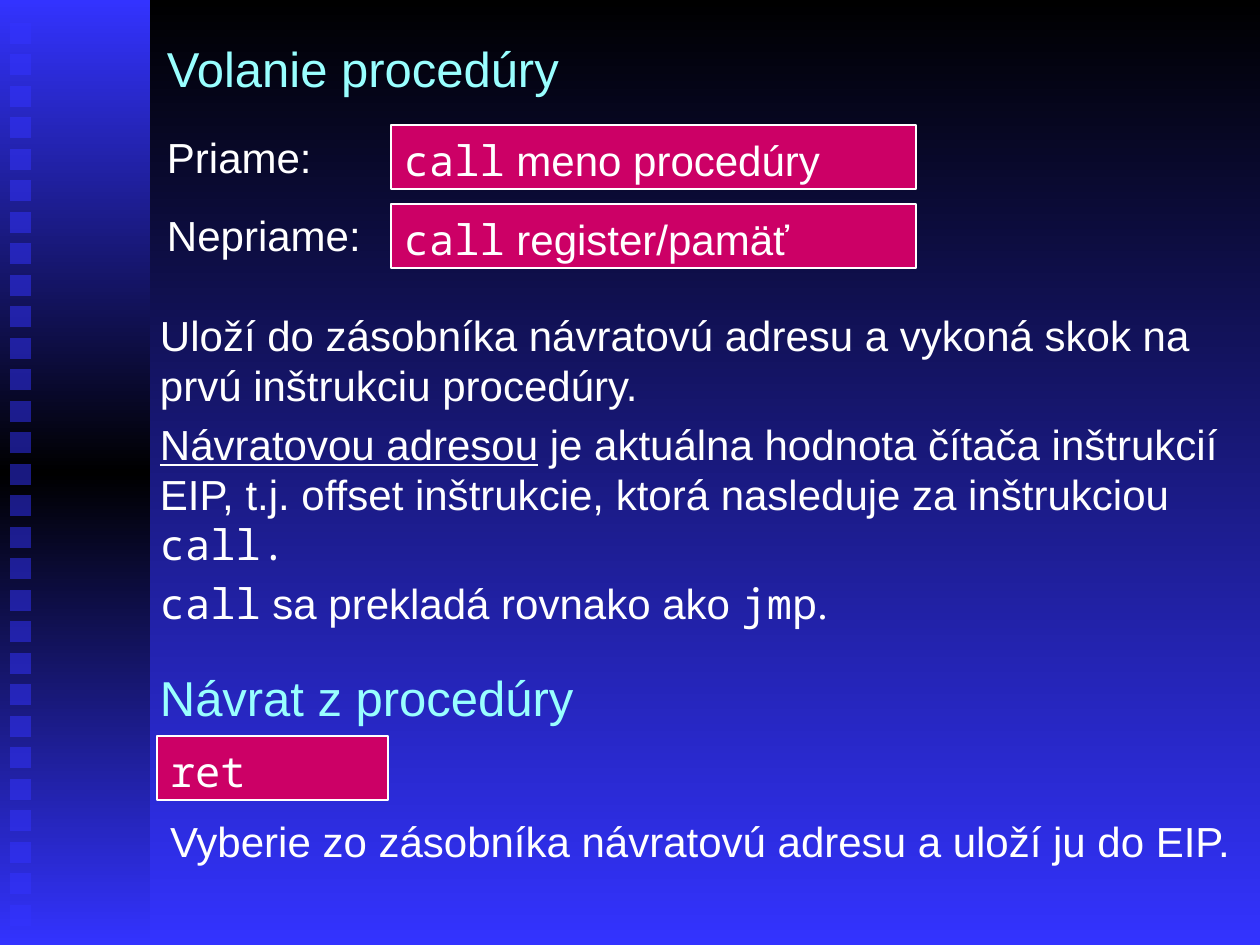
import copy
import pptx
import pptx.dml.color
import pptx.enum.shapes
import pptx.enum.text
import pptx.oxml.ns
import pptx.util

PX = 914400 / 126
ARIAL, MONO, TIMES = "Arial", "Noto Sans Mono", "Times New Roman"
WHITE, CYAN, BLUE, BLACK, MAGENTA = "FFFFFF", "99FFFF", "3333FF", "000000", "CC0066"
RECTANGLE = pptx.enum.shapes.MSO_SHAPE.RECTANGLE
TOP = pptx.enum.text.MSO_ANCHOR.TOP
MIDDLE = pptx.enum.text.MSO_ANCHOR.MIDDLE


def color(hex_code):
    return pptx.dml.color.RGBColor.from_string(hex_code)


def write(shape, paragraphs, size=24, ink=WHITE, anchor=TOP, inset_top=6):
    frame = shape.text_frame
    frame.word_wrap = True
    frame.vertical_anchor = anchor
    frame.margin_left = frame.margin_right = round(13 * PX)
    frame.margin_top = round(inset_top * PX)
    frame.margin_bottom = round(6 * PX)
    for index, pieces in enumerate(paragraphs):
        paragraph = frame.add_paragraph() if index else frame.paragraphs[0]
        paragraph.alignment = pptx.enum.text.PP_ALIGN.LEFT
        if index:
            paragraph.space_before = pptx.util.Pt(5)
        if size == 24:
            paragraph.line_spacing = pptx.util.Pt(28.6)
        for words, face in pieces:
            run = paragraph.add_run()
            run.text = words
            run.font.name = face
            run.font.size = pptx.util.Pt(size)
            run.font.color.rgb = color(ink)


deck = pptx.Presentation()
deck.slide_width, deck.slide_height = round(1260 * PX), round(945 * PX)
slide = deck.slides.add_slide(deck.slide_layouts[6])

sidebar = slide.shapes.add_shape(RECTANGLE, 0, 0, round(150 * PX), round(945 * PX))
sidebar.shadow.inherit = False
sidebar.line.fill.background()

gradients = [(slide.background.fill, [BLACK, BLUE]), (sidebar.fill, [BLUE, BLACK, BLUE])]
for fill, shades in gradients:
    fill.gradient()
    fill.gradient_angle = 270
    first_stop = fill.gradient_stops[0]._gs
    for _ in shades[2:]:
        first_stop.addnext(copy.deepcopy(first_stop))
    for index, (stop, shade) in enumerate(zip(fill.gradient_stops, shades)):
        stop.color.rgb = color(shade)
        stop.position = index / (len(shades) - 1)

for index in range(29):
    square = slide.shapes.add_shape(
        RECTANGLE, round(10 * PX), round((23 + index * 63 // 2) * PX),
        round(21 * PX), round(21 * PX))
    square.shadow.inherit = False
    square.line.fill.background()
    square.fill.solid()
    square.fill.fore_color.rgb = color(BLUE)
    tint = square.fill._xPr.find(".//" + pptx.oxml.ns.qn("a:srgbClr"))
    tint.append(pptx.oxml.parse_xml(
        f'<a:alpha {pptx.oxml.ns.nsdecls("a")} val="50000"/>'))

headings = [
    ("Volanie procedúry", 154, 26, MIDDLE),
    ("Návrat z procedúry", 147, 661, TOP),
]
for words, left, top, anchor in headings:
    heading = slide.shapes.add_textbox(
        round(left * PX), round(top * PX), round(1071 * PX), round(84 * PX))
    write(heading, [[(words, ARIAL)]], 28, CYAN, anchor)

explanation = [
    [("Uloží do zásobníka návratovú adresu a vykoná skok na prvú inštrukciu procedúry.", ARIAL)],
    [("Návratovou adresou", ARIAL),
     (" je aktuálna hodnota čítača inštrukcií EIP, t.j. offset inštrukcie, "
      "ktorá nasleduje za inštrukciou ", ARIAL),
     ("call.", MONO)],
    [("call", MONO), (" sa prekladá rovnako ako ", ARIAL), ("jmp", MONO), (".", TIMES)],
]
texts = [
    ([[("Priame:", ARIAL)]], 154, 126, 230, 63),
    ([[("Nepriame:", ARIAL)]], 154, 204, 230, 63),
    (explanation, 147, 304, 1113, 339),
    ([[("Vyberie zo zásobníka návratovú adresu a uloží ju do EIP.", ARIAL)]],
     157, 810, 1103, 63),
]
for paragraphs, left, top, width, height in texts:
    passage = slide.shapes.add_textbox(
        *(round(length * PX) for length in (left, top, width, height)))
    write(passage, paragraphs)
    if paragraphs is explanation:
        passage.text_frame.paragraphs[1].runs[0].font.underline = True

instructions = [
    ([("call", MONO), (" meno procedúry", ARIAL)], 391, 125, 525),
    ([("call", MONO), (" register/pamäť", ARIAL)], 391, 204, 525),
    ([("ret", MONO)], 157, 736, 231),
]
for pieces, left, top, width in instructions:
    instruction = slide.shapes.add_shape(
        RECTANGLE, round(left * PX), round(top * PX), round(width * PX), round(64 * PX))
    instruction.shadow.inherit = False
    instruction.fill.solid()
    instruction.fill.fore_color.rgb = color(MAGENTA)
    instruction.line.color.rgb = color(WHITE)
    instruction.line.width = pptx.util.Pt(0.75)
    write(instruction, [pieces], inset_top=10)

deck.save("out.pptx")
